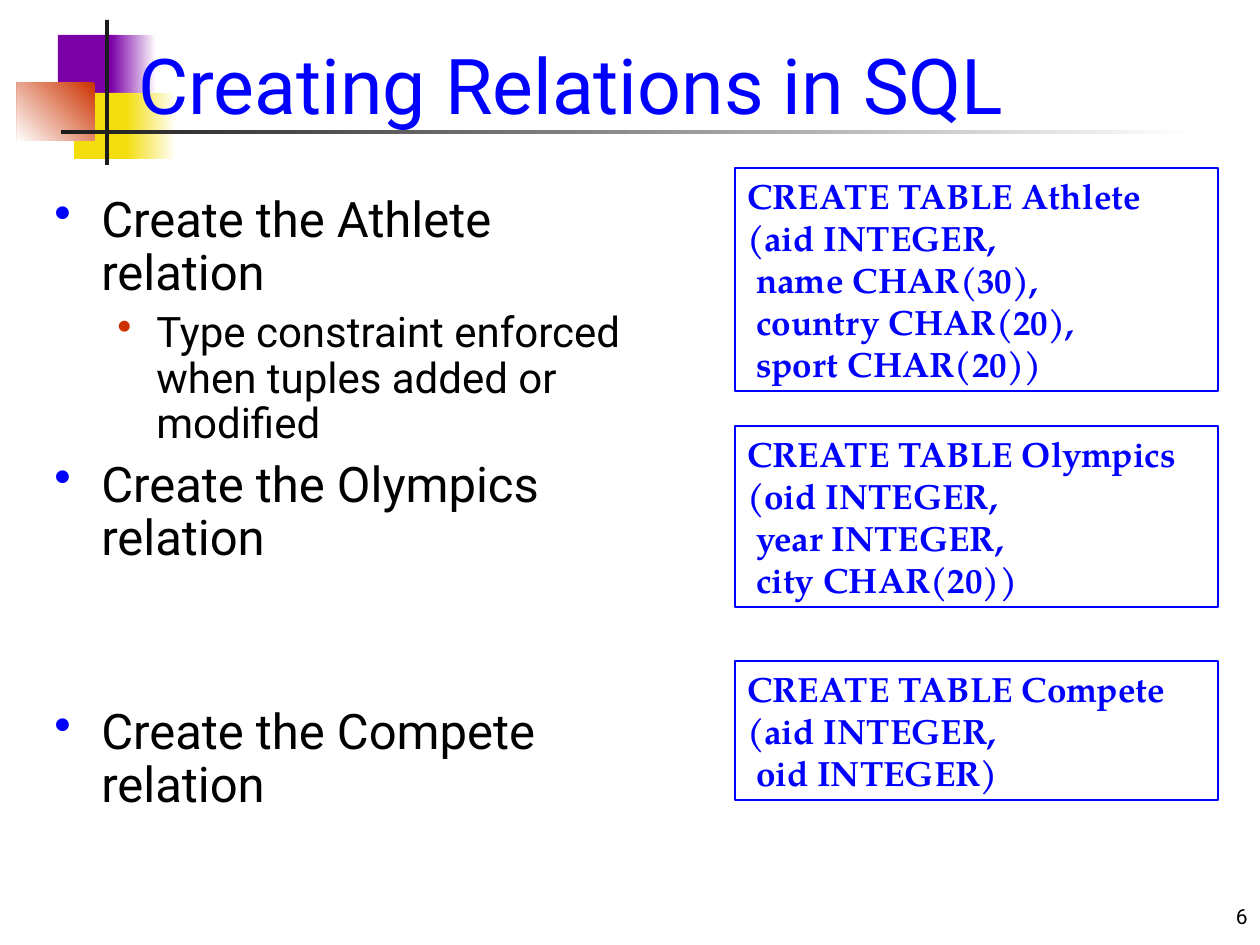
from dataclasses import dataclass

from lxml.etree import SubElement
from pptx import Presentation
from pptx.dml.color import RGBColor
from pptx.enum.shapes import MSO_SHAPE
from pptx.enum.text import MSO_ANCHOR, MSO_AUTO_SIZE, PP_ALIGN
from pptx.oxml.ns import qn
from pptx.util import Emu, Pt

EMU_PER_PX = 914400 // 126


def px(length):
    return Emu(length * EMU_PER_PX)


@dataclass(frozen=True)
class Theme:
    blue: str = "0000FF"
    black: str = "000000"
    white: str = "FFFFFF"
    purple: str = "7B00A6"
    yellow: str = "F3DD0D"
    orange: str = "CC3300"
    charcoal: str = "1C1C1C"
    sans: str = "Roboto"
    serif: str = "TeX Gyre Pagella"
    title_size: int = 44
    topic_size: int = 28
    detail_size: int = 24
    code_size: int = 20
    number_size: int = 12


@dataclass
class SlideBuilder:
    theme: Theme
    slide: object

    def rectangle(self, left, top, width, height):
        shape = self.slide.shapes.add_shape(
            MSO_SHAPE.RECTANGLE, px(left), px(top), px(width), px(height))
        shape.shadow.inherit = False
        return shape

    def block(self, bounds, color, fade_angle=None):
        """Add a borderless rectangle, fading to white if an angle is given."""
        shape = self.rectangle(*bounds)
        shape.line.fill.background()
        if fade_angle is None:
            shape.fill.solid()
            shape.fill.fore_color.rgb = RGBColor.from_string(color)
            return
        shape.fill.gradient()
        shape.fill.gradient_angle = fade_angle
        for stop, stop_color in zip(shape.fill.gradient_stops, (color, self.theme.white)):
            stop.color.rgb = RGBColor.from_string(stop_color)

    def run(self, paragraph, text, size, color, font, bold=False):
        run = paragraph.add_run()
        run.text = text
        run.font.size = Pt(size)
        run.font.name = font
        run.font.bold = bold
        run.font.color.rgb = RGBColor.from_string(color)

    def text_frame(self, bounds, anchor=MSO_ANCHOR.TOP):
        frame = self.slide.shapes.add_textbox(*map(px, bounds)).text_frame
        frame.word_wrap = True
        frame.vertical_anchor = anchor
        return frame

    def label(self, bounds, text, size, color, align=PP_ALIGN.LEFT):
        paragraph = self.text_frame(bounds, MSO_ANCHOR.BOTTOM).paragraphs[0]
        paragraph.alignment = align
        self.run(paragraph, text, size, color, self.theme.sans)

    def bullet(self, paragraph, color, margin, hanging):
        properties = paragraph._p.get_or_add_pPr()
        properties.set("marL", str(px(margin)))
        properties.set("indent", str(-px(hanging)))
        bullet_color = SubElement(properties, qn("a:buClr"))
        SubElement(bullet_color, qn("a:srgbClr"), val=color)
        SubElement(properties, qn("a:buChar"), char="•")

    def outline(self, bounds, entries):
        """Add bullets from (level, space before, text) entries."""
        theme = self.theme
        levels = ((theme.topic_size, theme.blue, 47, 47),
                  (theme.detail_size, theme.orange, 102, 39))
        frame = self.text_frame(bounds)
        for index, (level, space_before, text) in enumerate(entries):
            size, color, margin, hanging = levels[level]
            paragraph = frame.add_paragraph() if index else frame.paragraphs[0]
            paragraph.level = level
            paragraph.line_spacing = 0.9
            paragraph.space_before = Pt(space_before)
            self.bullet(paragraph, color, margin, hanging)
            self.run(paragraph, text, size, theme.black, theme.sans)

    def code_box(self, bounds, code):
        theme = self.theme
        shape = self.rectangle(*bounds)
        shape.fill.background()
        shape.line.color.rgb = RGBColor.from_string(theme.blue)
        shape.line.width = Pt(1.5)
        frame = shape.text_frame
        frame.word_wrap = True
        frame.auto_size = MSO_AUTO_SIZE.SHAPE_TO_FIT_TEXT
        frame.vertical_anchor = MSO_ANCHOR.TOP
        for index, line in enumerate(code):
            paragraph = frame.add_paragraph() if index else frame.paragraphs[0]
            paragraph.alignment = PP_ALIGN.LEFT
            self.run(paragraph, line, theme.code_size, theme.blue, theme.serif, bold=True)


def main():
    theme = Theme()
    presentation = Presentation()
    presentation.slide_width, presentation.slide_height = px(1260), px(945)
    builder = SlideBuilder(
        theme, presentation.slides.add_slide(presentation.slide_layouts[6]))

    ornaments = (
        ((58, 35, 60, 66), theme.purple, None),
        ((111, 35, 45, 66), theme.purple, 0),
        ((74, 93, 58, 66), theme.yellow, None),
        ((126, 93, 50, 66), theme.yellow, 0),
        ((17, 83, 78, 58), theme.orange, 225),
        ((105, 20, 4, 145), theme.charcoal, None),
        ((61, 130, 1134, 4), theme.charcoal, 0),
    )
    for bounds, color, fade_angle in ornaments:
        builder.block(bounds, color, fade_angle)

    builder.label((998, 872, 262, 63), "6", theme.number_size, theme.black, PP_ALIGN.RIGHT)
    builder.label((126, -21, 1113, 157), "Creating Relations in SQL",
                  theme.title_size, theme.blue)
    builder.outline((42, 189, 608, 672), (
        (0, 0, "Create the Athlete relation"),
        (1, 6, "Type constraint enforced when tuples added or modified"),
        (0, 7, "Create the Olympics relation"),
        (0, 81, "Create the Compete relation"),
    ))

    statements = (
        (168, 223, ("CREATE TABLE Athlete", "(aid INTEGER,", " name CHAR(30),",
                    " country CHAR(20),", " sport CHAR(20))")),
        (426, 181, ("CREATE TABLE Olympics", "(oid INTEGER,", " year INTEGER,",
                    " city CHAR(20))")),
        (661, 139, ("CREATE TABLE Compete", "(aid INTEGER,", " oid INTEGER)")),
    )
    for top, height, code in statements:
        builder.code_box((735, top, 483, height), code)

    presentation.save("out.pptx")


if __name__ == "__main__":
    main()
